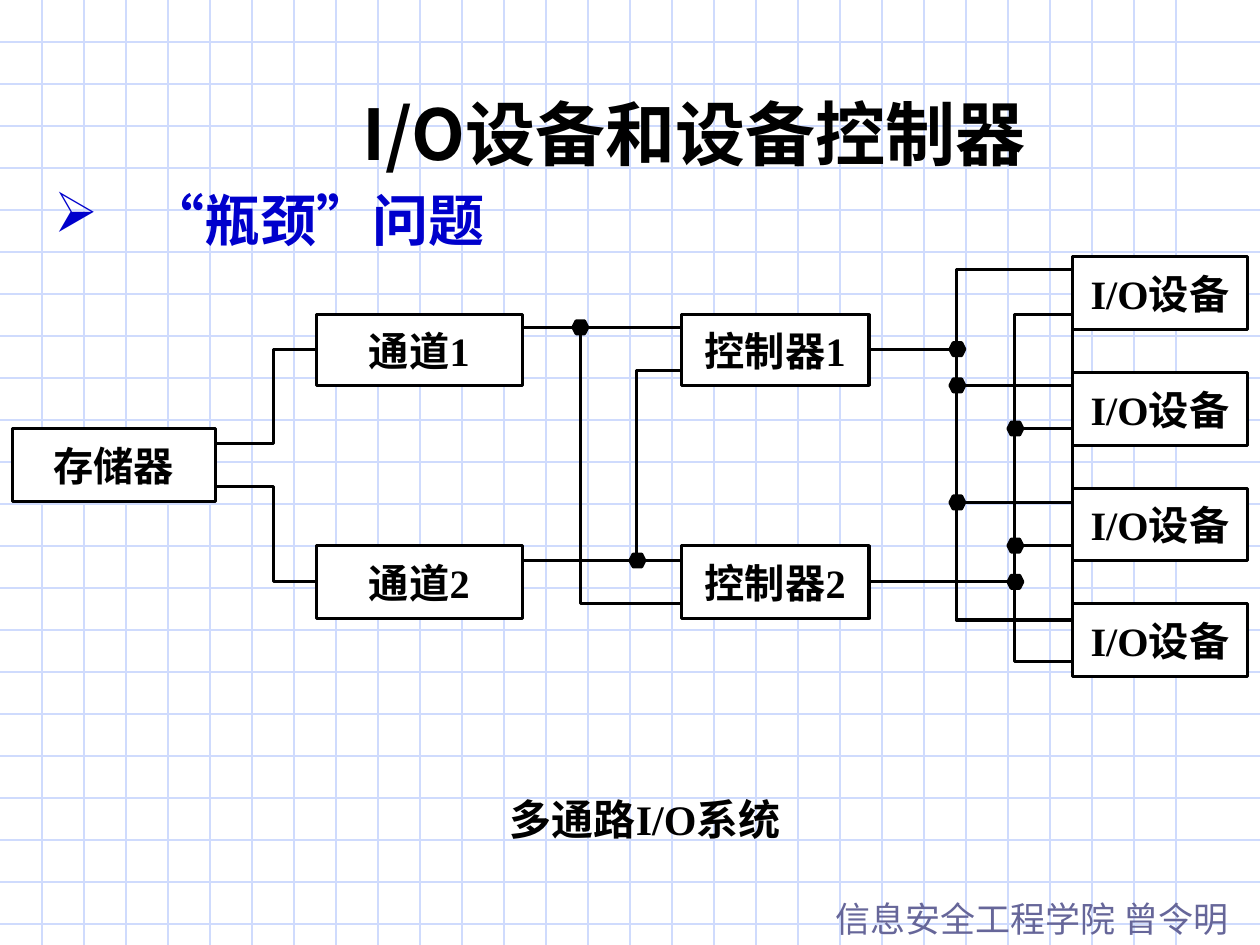
from lxml.etree import SubElement
from pptx import Presentation
from pptx.dml.color import RGBColor
from pptx.enum.shapes import MSO_CONNECTOR, MSO_SHAPE
from pptx.enum.text import MSO_ANCHOR, PP_ALIGN
from pptx.oxml.ns import qn
from pptx.util import Cm, Pt

HUES = {"ink": "000000", "paper": "FFFFFF", "grid": "CFDBFD",
        "point": "0000CC", "foot": "666699"}
WIDE, HIGH, STEP = 25.4, 19.05, 2.54 / 3
SERIF, SANS, HAN = "Times New Roman", "Noto Sans CJK JP", "Noto Sans CJK SC"
PORT, BUS_A, BUS_B = 21.62, 19.28, 20.45


def hue(name):
    """Return the named colour."""
    return RGBColor.from_string(HUES[name])


def style(frame, text, size, face, east, color="ink", bold=True):
    """Set the text of a frame and format its run."""
    frame.text = text
    font = frame.paragraphs[0].runs[0].font
    font.size, font.bold, font.name = Pt(size), bold, face
    font.color.rgb = hue(color)
    SubElement(font._element, qn("a:ea")).set("typeface", east)


def pen(shape, color="ink", width=1.75):
    """Give a shape its outline."""
    shape.line.color.rgb = hue(color)
    shape.line.width = Pt(width)


def line(slide, x1, y1, x2, y2, color="ink", width=1.75):
    """Draw a straight line without a shadow."""
    link = slide.shapes.add_connector(
        MSO_CONNECTOR.STRAIGHT, Cm(x1), Cm(y1), Cm(x2), Cm(y2))
    pen(link, color, width)
    SubElement(link._element.spPr, qn("a:effectLst"))


def wire(slide, *spots):
    """Draw an open bent line through the given points."""
    first, *rest = [(Cm(x), Cm(y)) for x, y in spots]
    path = slide.shapes.build_freeform(*first)
    path.add_line_segments(rest, close=False)
    bend = path.convert_to_shape()
    bend.fill.background()
    bend.shadow.inherit = False
    pen(bend)


def solid(slide, kind, x, y, w, h, fill):
    """Add an outlined preset shape, hollow when fill is None."""
    shape = slide.shapes.add_shape(kind, Cm(x), Cm(y), Cm(w), Cm(h))
    shape.shadow.inherit = False
    if fill:
        shape.fill.solid()
        shape.fill.fore_color.rgb = hue(fill)
    else:
        shape.fill.background()
    pen(shape)
    return shape


def box(slide, text, x, y, w, h=1.47):
    """Add a white box with a centred label."""
    frame = solid(slide, MSO_SHAPE.RECTANGLE, x, y, w, h, "paper").text_frame
    frame.margin_left = frame.margin_right = 0
    frame.margin_top = frame.margin_bottom = 0
    frame.vertical_anchor = MSO_ANCHOR.MIDDLE
    frame.word_wrap = False
    style(frame, text, 23, SERIF, HAN)
    frame.paragraphs[0].alignment = PP_ALIGN.CENTER


def dot(slide, x, y):
    """Mark a junction."""
    solid(slide, MSO_SHAPE.HEXAGON, x - 0.13, y - 0.13, 0.3, 0.26, "ink")


def note(slide, x, y, w, h, *look, wrap=True):
    """Add a text box and return its frame."""
    frame = slide.shapes.add_textbox(Cm(x), Cm(y), Cm(w), Cm(h)).text_frame
    frame.word_wrap = wrap
    style(frame, *look)
    return frame


def grid(slide):
    """Rule the page in squares."""
    for i in range(1, int(HIGH / STEP) + 1):
        line(slide, 0, i * STEP, WIDE, i * STEP, "grid", 0.75)
    for i in range(1, int(WIDE / STEP)):
        line(slide, i * STEP, 0, i * STEP, HIGH, "grid", 0.75)


def head(slide):
    """Place the title above the grid."""
    title = slide.shapes.title
    title.left, title.top = Cm(3.61), Cm(1.7)
    title.width, title.height = Cm(20.75), Cm(1.96)
    frame = title.text_frame
    frame.vertical_anchor = MSO_ANCHOR.MIDDLE
    style(frame, "I/O设备和设备控制器", 40, SANS, SANS)
    frame.paragraphs[0].alignment = PP_ALIGN.CENTER
    slide.shapes._spTree.append(title._element)


def point(slide):
    """Add the bulleted topic line."""
    frame = note(slide, 0.84, 3.61, 23.5, 1.32,
                 "“瓶颈”问题", 32, SERIF, HAN, "point")
    props = frame.paragraphs[0]._p.get_or_add_pPr()
    props.set("marL", str(Cm(1.9)))
    props.set("indent", str(-Cm(1.9)))
    tint = SubElement(props, qn("a:buClr"))
    SubElement(tint, qn("a:srgbClr")).set("val", HUES["point"])
    SubElement(props, qn("a:buChar")).set("char", "➢")


def boxes(slide):
    """Place store, channels, controllers and devices."""
    box(slide, "存储器", 0.25, 8.64, 4.09)
    for i, (y, h) in enumerate([(6.35, 1.42), (11, 1.47)], 1):
        box(slide, f"通道{i}", 6.38, y, 4.15, h)
        box(slide, f"控制器{i}", 13.74, y, 3.78, h)
    for i in range(4):
        box(slide, "I/O设备", PORT, 5.18 + 2.33 * i, 3.53)


def wires(slide):
    """Join the boxes and mark the junctions."""
    for start, end in [(8.94, 7.04), (9.8, 11.73)]:
        wire(slide, (4.34, start), (5.51, start), (5.51, end), (6.38, end))
    for x, y, h in [(BUS_B, 6.35, 6.99), (BUS_A, 5.44, 7.06)]:
        solid(slide, MSO_SHAPE.RECTANGLE, x, y, PORT - x, h, None)
    for x, y in [(BUS_A, 7.77), (BUS_B, 8.64), (BUS_A, 10.13), (BUS_B, 11)]:
        line(slide, x, y, PORT, y)
        dot(slide, x, y)
    for x, y in [(BUS_A, 7.04), (BUS_B, 11.73)]:
        line(slide, 17.52, y, x, y)
        dot(slide, x, y)
    for y in (6.6, 11.3):
        line(slide, 10.53, y, 13.74, y)
    wire(slide, (13.74, 7.47), (12.83, 7.47), (12.83, 11.3))
    wire(slide, (11.7, 6.6), (11.7, 12.17), (13.74, 12.17))
    dot(slide, 12.83, 11.3)
    dot(slide, 11.68, 6.6)


def main():
    """Build the slide and save it."""
    deck = Presentation()
    deck.slide_width, deck.slide_height = Cm(WIDE), Cm(HIGH)
    slide = deck.slides.add_slide(deck.slide_layouts[5])
    grid(slide)
    note(slide, 16.59, 17.96, 8.81, 1.12,
         "信息安全工程学院 曾令明", 20, SANS, SANS, "foot", False)
    point(slide)
    boxes(slide)
    wires(slide)
    note(slide, 10.03, 15.88, 6.55, 1.27,
         "多通路I/O系统", 24, SERIF, HAN, wrap=False)
    head(slide)
    deck.save("out.pptx")


if __name__ == "__main__":
    main()
